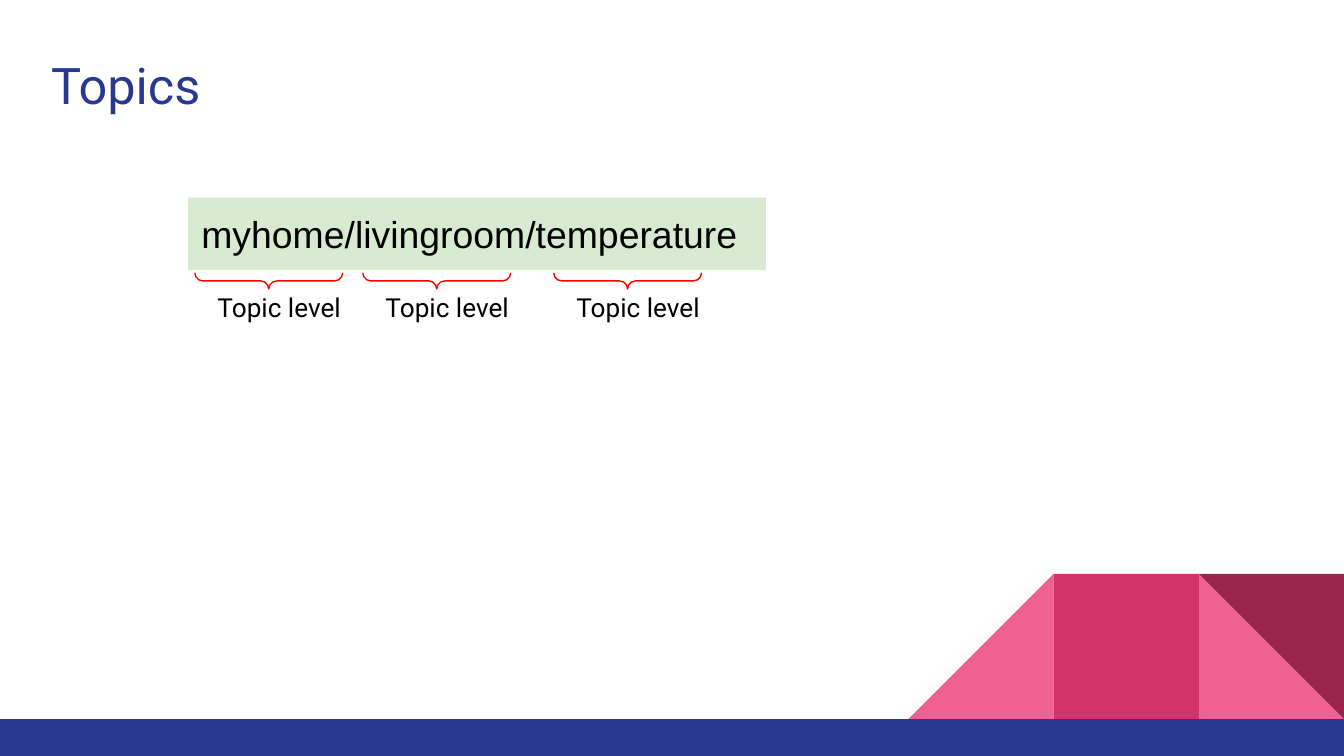
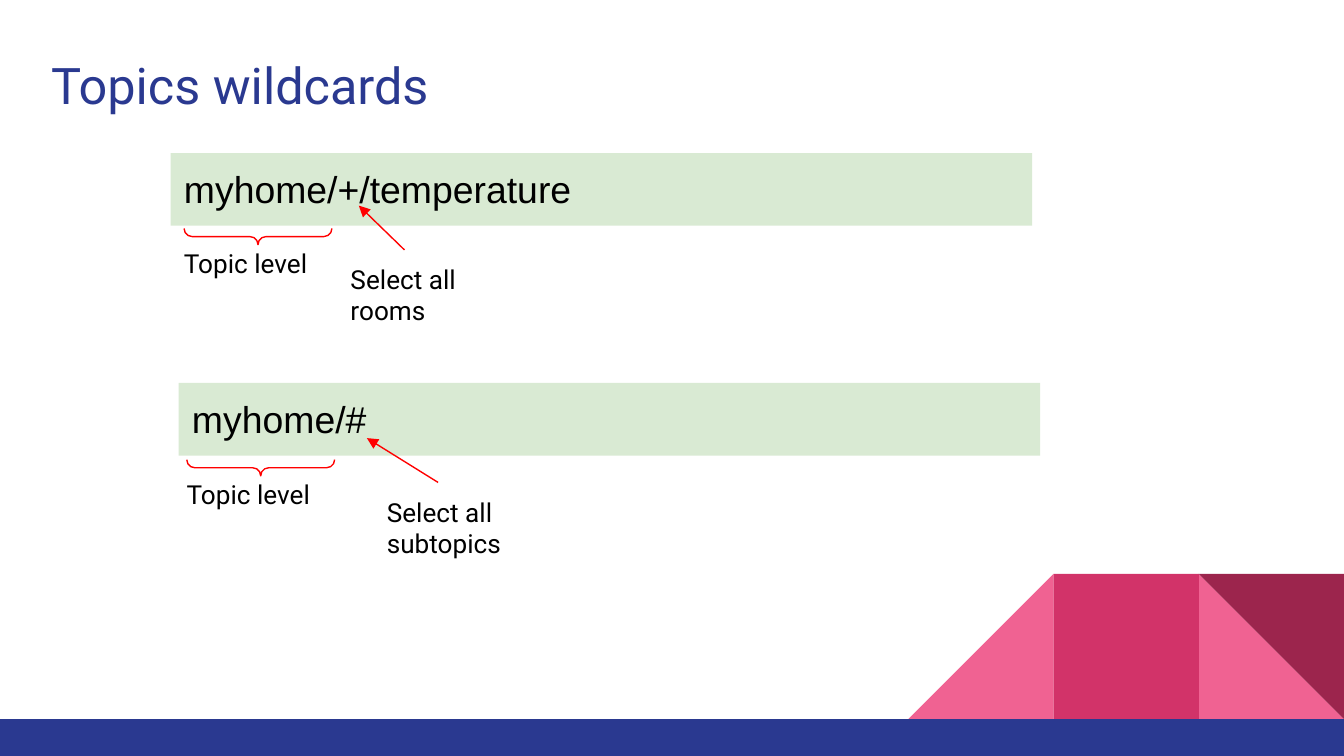
from lxml.etree import SubElement
from pptx import Presentation
from pptx.dml.color import RGBColor
from pptx.enum.shapes import MSO_CONNECTOR, MSO_SHAPE
from pptx.enum.text import MSO_ANCHOR, MSO_AUTO_SIZE, PP_ALIGN
from pptx.oxml.ns import qn
from pptx.util import Inches, Pt

COLORS = {
    "navy": "2A3990",
    "pink": "F06292",
    "rose": "D23369",
    "wine": "9C254D",
    "green": "D9EAD3",
    "red": "FF0000",
    "black": "000000",
}
SLIDE_WIDTH = 10
SLIDE_HEIGHT = SLIDE_WIDTH * 9 / 16
TILE = 1.08
FOOTER_TOP = 5.35
TOPIC_HEIGHT = 0.54
BRACE_WIDTH, BRACE_DEPTH = 1.1, 0.12
LABEL_DROP = 0.04


def rgb(name):
    """Return the named palette colour."""
    return RGBColor.from_string(COLORS[name])


def write_text(frame, text, size=14, font="Roboto", color="black",
               anchor=MSO_ANCHOR.TOP, auto_size=MSO_AUTO_SIZE.SHAPE_TO_FIT_TEXT):
    """Fill a text frame with one left-aligned, formatted paragraph."""
    frame.word_wrap = True
    frame.auto_size = auto_size
    frame.vertical_anchor = anchor
    frame.margin_left = frame.margin_right = Inches(0.1)
    frame.margin_top = frame.margin_bottom = Inches(0.1)
    paragraph = frame.paragraphs[0]
    paragraph.alignment = PP_ALIGN.LEFT
    run = paragraph.add_run()
    run.text = text
    run.font.size = Pt(size)
    run.font.name = font
    run.font.color.rgb = rgb(color)


def add_filled(shapes, preset, box, color):
    """Add a borderless preset shape in one colour."""
    filled = shapes.add_shape(preset, *map(Inches, box))
    filled.shadow.inherit = False
    filled.fill.solid()
    filled.fill.fore_color.rgb = rgb(color)
    filled.line.fill.background()
    return filled


def add_label(slide, text, box):
    """Add a wrapped text label."""
    label = slide.shapes.add_textbox(*map(Inches, box))
    write_text(label.text_frame, text)
    return label


def add_footer(slide):
    """Draw the corner tiles and the band along the bottom edge."""
    shapes = slide.shapes.add_group_shape().shapes
    left, middle, right = (SLIDE_WIDTH - TILE * n for n in (3, 2, 1))
    top = FOOTER_TOP - TILE

    def add_tile(preset, x, color):
        """Add one square tile of the corner."""
        return add_filled(shapes, preset, (x, top, TILE, TILE), color)

    add_tile(MSO_SHAPE.RIGHT_TRIANGLE, right, "pink")
    slope = add_tile(MSO_SHAPE.RIGHT_TRIANGLE, left, "pink")
    slope.element.spPr.find(qn("a:xfrm")).set("flipH", "1")
    add_tile(MSO_SHAPE.RECTANGLE, middle, "rose")
    add_tile(MSO_SHAPE.RIGHT_TRIANGLE, right, "wine").rotation = 180
    band = (0, FOOTER_TOP, SLIDE_WIDTH, SLIDE_HEIGHT - FOOTER_TOP)
    add_filled(shapes, MSO_SHAPE.RECTANGLE, band, "navy")


def add_topic(slide, text, left, top, width):
    """Draw a topic string on its green bar."""
    bar = add_filled(slide.shapes, MSO_SHAPE.RECTANGLE,
                     (left, top, width, TOPIC_HEIGHT), "green")
    write_text(bar.text_frame, text, size=20, font="Arial")


def add_level(slide, left, top, label_shift):
    """Draw a brace with the words Topic level beneath it."""
    add_label(slide, "Topic level",
              (left + label_shift, top + LABEL_DROP, 1.14, 0.44))
    turn = (BRACE_WIDTH - BRACE_DEPTH) / 2
    brace = slide.shapes.add_shape(
        MSO_SHAPE.LEFT_BRACE, Inches(left + turn), Inches(top - turn),
        Inches(BRACE_DEPTH), Inches(BRACE_WIDTH))
    brace.rotation = 270
    brace.adjustments[0] = brace.adjustments[1] = 0.5
    brace.shadow.inherit = False
    brace.fill.background()
    brace.line.color.rgb = rgb("red")
    brace.line.width = Pt(0.75)


def add_arrow(slide, start, end):
    """Draw a red arrow between two points."""
    arrow = slide.shapes.add_connector(
        MSO_CONNECTOR.STRAIGHT, *map(Inches, (*start, *end)))
    arrow.line.color.rgb = rgb("red")
    arrow.line.width = Pt(0.75)
    properties = arrow.element.spPr
    SubElement(properties.find(qn("a:ln")), qn("a:tailEnd"), type="triangle")
    SubElement(properties, qn("a:effectLst"))
    return arrow


def add_titled_slide(deck, text):
    """Add a slide with the shared title and footer."""
    slide = deck.slides.add_slide(deck.slide_layouts[5])
    add_footer(slide)
    title = slide.shapes.title
    title.left, title.top = Inches(0.28), Inches(0.3)
    title.width, title.height = Inches(9.32), Inches(0.66)
    write_text(title.text_frame, text, size=27, color="navy",
               auto_size=MSO_AUTO_SIZE.NONE)
    return slide


def build_topics(deck):
    """Build the slide that splits a topic into levels."""
    slide = add_titled_slide(deck, "Topics")
    add_topic(slide, "myhome/livingroom/temperature", 1.4, 1.47, 4.3)
    for level_left in (1.45, 2.7, 4.12):
        add_level(slide, level_left, 2.03, label_shift=0.07)


def add_wildcard(slide, topic, meaning, left, top, level_at, meaning_box,
                 arrow_start, arrow_end):
    """Draw a wildcard topic with its level and explanation."""
    add_topic(slide, topic, left, top, 6.41)
    add_level(slide, *level_at, label_shift=-0.1)
    note = add_label(slide, meaning, meaning_box)
    return note, add_arrow(slide, arrow_start, arrow_end)


def build_wildcards(deck):
    """Build the slide that explains both wildcards."""
    slide = add_titled_slide(deck, "Topics wildcards")
    rooms, rooms_arrow = add_wildcard(
        slide, "myhome/+/temperature", "Select all rooms", 1.27, 1.14,
        level_at=(1.37, 1.7), meaning_box=(2.51, 1.86, 1, 0.67),
        arrow_start=(3.01, 1.86), arrow_end=(2.67, 1.53))
    rooms_arrow.begin_connect(rooms, 0)
    add_wildcard(
        slide, "myhome/#", "Select all subtopics", 1.33, 2.85,
        level_at=(1.39, 3.42), meaning_box=(2.78, 3.59, 1.47, 0.67),
        arrow_start=(3.26, 3.59), arrow_end=(2.73, 3.26))


def main():
    """Build and save the presentation."""
    deck = Presentation()
    deck.slide_width = Inches(SLIDE_WIDTH)
    deck.slide_height = Inches(SLIDE_HEIGHT)
    build_topics(deck)
    build_wildcards(deck)
    deck.save("out.pptx")


if __name__ == "__main__":
    main()
